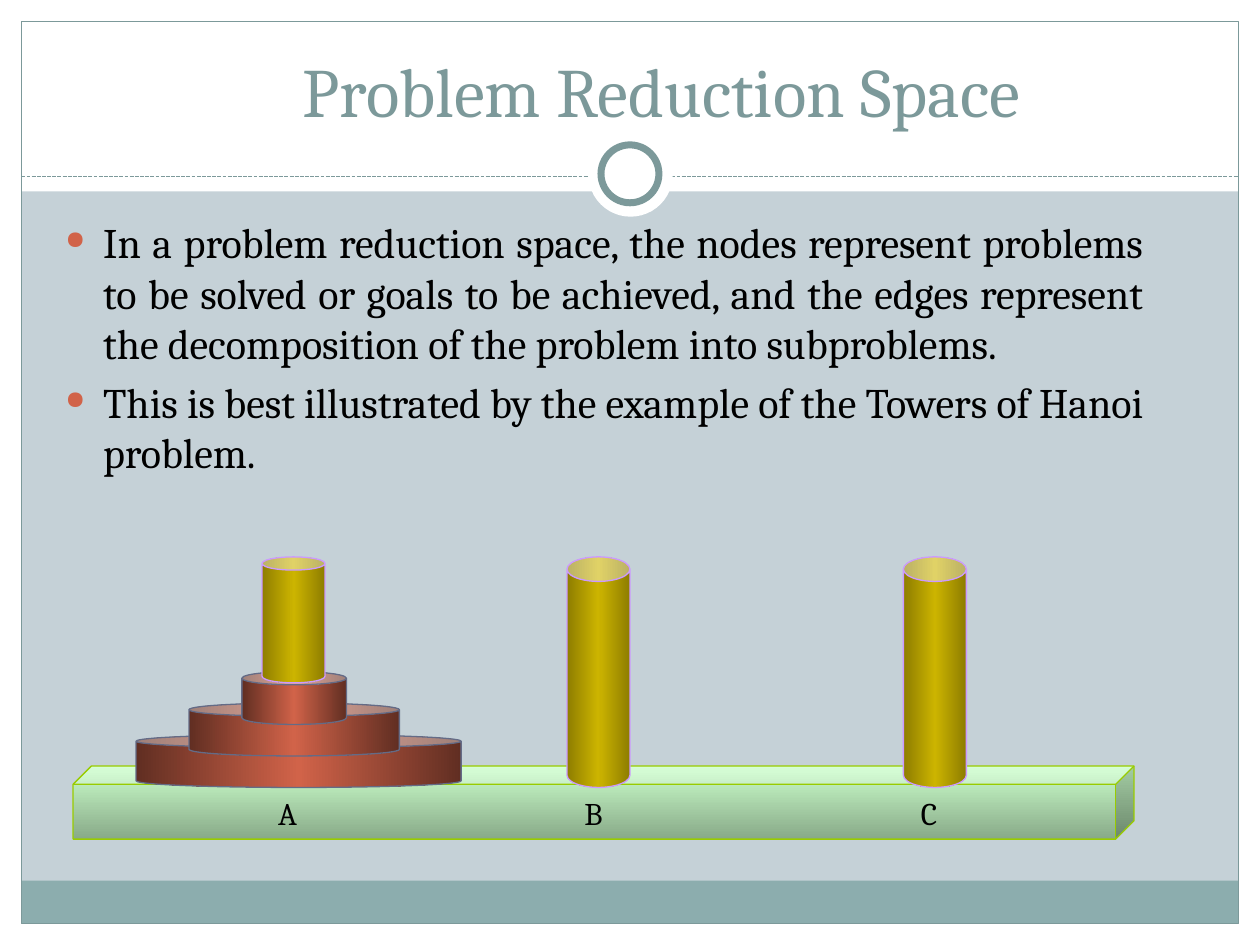
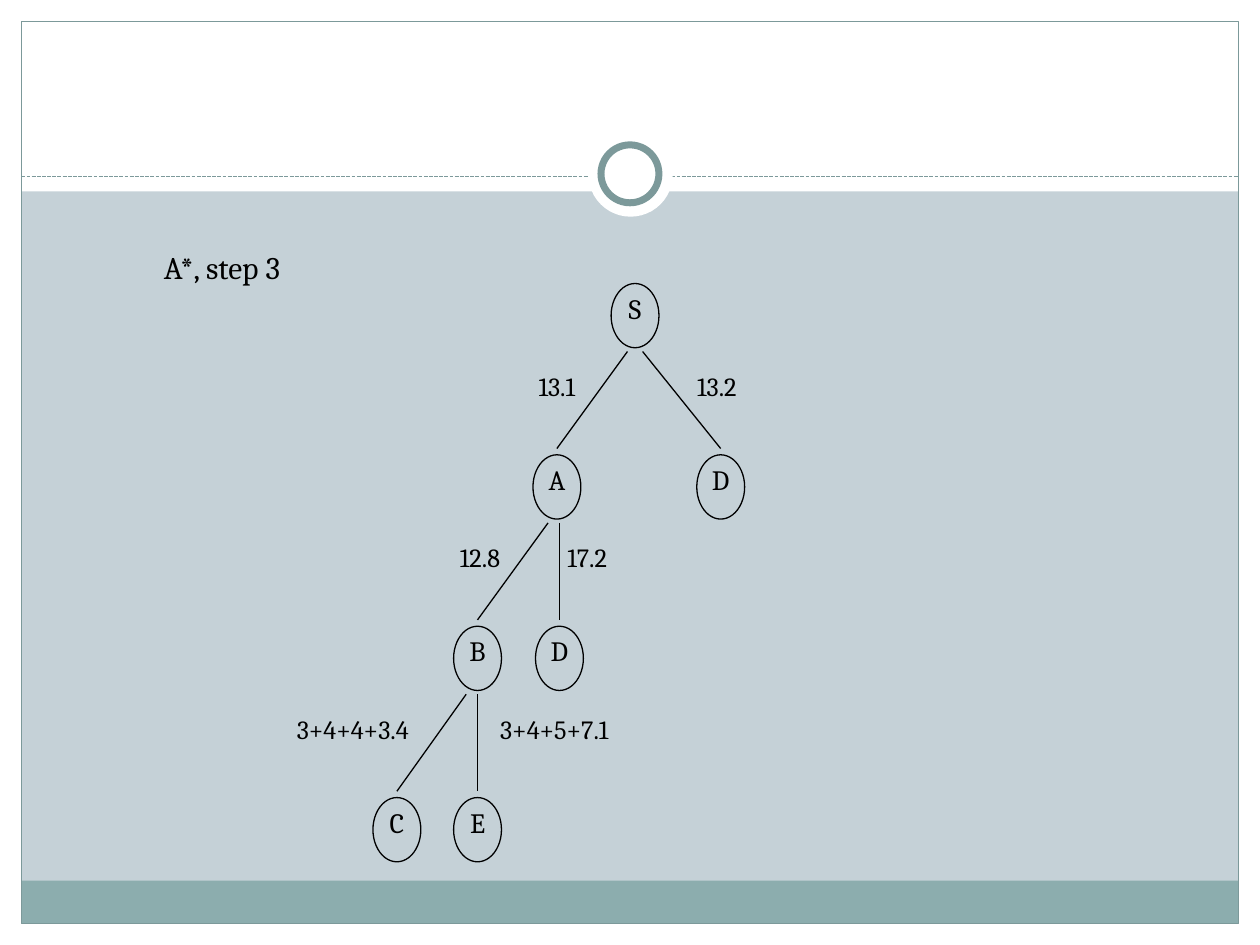
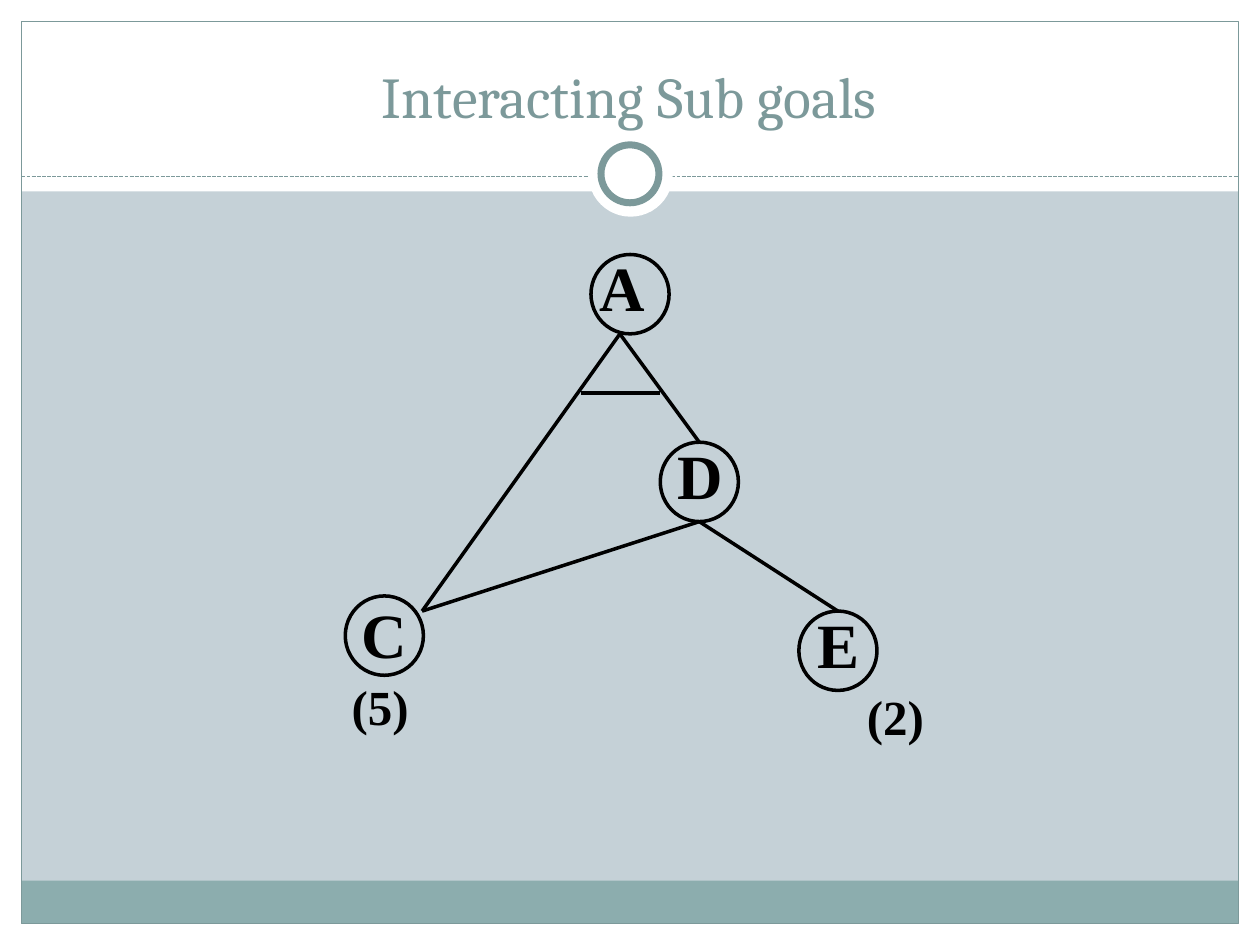
"""Build three slides on problem reduction, A* search and interacting sub goals."""
from copy import deepcopy

from lxml import etree
from pptx import Presentation
from pptx.dml.color import RGBColor
from pptx.enum import dml, shapes, text
from pptx.oxml.ns import qn
from pptx.util import Inches, Pt

BLACK = RGBColor(0x00, 0x00, 0x00)
WHITE = RGBColor(0xFF, 0xFF, 0xFF)
BACKGROUND = RGBColor(0xC5, 0xD1, 0xD7)
FOOTER = RGBColor(0x8C, 0xAD, 0xAE)
ACCENT = RGBColor(0x7C, 0x99, 0x9A)
BULLET = "D16349"
BOARD_LINE = RGBColor(0x99, 0xCC, 0x00)
BOARD_LIGHT = RGBColor(0xCC, 0xFF, 0xCC)
BOARD_DARK = RGBColor(0x88, 0xAA, 0x88)
PEG_LINE = RGBColor(0xCC, 0x99, 0xFF)
PEG_EDGE = RGBColor(0x8E, 0x7D, 0x00)
PEG_MIDDLE = RGBColor(0xCC, 0xB4, 0x00)
DISC_LINE = RGBColor(0x64, 0x6B, 0x86)
DISC_EDGE = RGBColor(0x61, 0x2E, 0x22)
DISC_MIDDLE = RGBColor(0xD1, 0x63, 0x49)
SERIF = "Cambria"
ROMAN = "Times New Roman"

RECTANGLE = shapes.MSO_SHAPE.RECTANGLE
OVAL = shapes.MSO_SHAPE.OVAL
CAN = shapes.MSO_SHAPE.CAN
CUBE = shapes.MSO_SHAPE.CUBE
CENTER = text.PP_ALIGN.CENTER

BANDS = [
    ((0, 7.33, 10, 0.17), WHITE),
    ((0, 0, 10, 1.52), WHITE),
    ((0, 0, 0.17, 7.5), WHITE),
    ((9.83, 0, 0.17, 7.5), WHITE),
    ((0.17, 6.99, 9.66, 0.34), FOOTER),
]

HANOI_TITLE = "Problem Reduction Space"
HANOI_POINTS = [
    "In a problem reduction space, the nodes represent problems to be solved or goals "
    "to be achieved, and the edges represent the decomposition of the problem into subproblems.",
    "This is best illustrated by the example of the Towers of Hanoi problem.",
]
DISCS = [(1.08, 2.58), (1.5, 1.67), (1.92, 0.83)]
PEGS = [(4.5, 1.83, 0.39), (7.17, 1.83, 0.39), (2.08, 1, 0.21)]
PEG_LABELS = [("A", 2.11), ("B", 4.54), ("C", 7.21)]

STEP = "A*, step 3"
TREE_NODES = {
    "S": ("S", 5.04, 0),
    "A": ("A", 4.42, 1),
    "D right": ("D", 5.72, 1),
    "B": ("B", 3.79, 2),
    "D left": ("D", 4.44, 2),
    "C": ("C", 3.15, 3),
    "E": ("E", 3.79, 3),
}
TREE_EDGES = [
    ("S", "A", -0.06, "13.1", 4.42),
    ("S", "D right", 0.06, "13.2", 5.69),
    ("A", "B", -0.07, "12.8", 3.81),
    ("A", "D left", 0.02, "17.2", 4.66),
    ("B", "C", -0.09, "3+4+4+3.4", 2.8),
    ("B", "E", 0, "3+4+5+7.1", 4.4),
]
TREE_TOP, LEVEL_STEP = 2.25, 1.36
NODE_WIDTH, NODE_HEIGHT = 0.38, 0.51

GOALS_TITLE = "Interacting Sub goals"
GOAL_NODES = [
    ("A", (4.69, 2.02), (4.69, 2.02)),
    ("D", (5.24, 3.51), (5.31, 3.51)),
    ("C", (2.74, 4.73), (2.8, 4.77)),
    ("E", (6.34, 4.85), (6.42, 4.85)),
]
GOAL_COSTS = [("(5)", (2.72, 5.4)), ("(2)", (6.81, 5.48))]
GOAL_LINES = [
    ((4.92, 2.65), (5.55, 3.51)),
    ((4.92, 2.65), (3.35, 4.85)),
    ((5.55, 4.14), (6.65, 4.85)),
    ((5.55, 4.14), (3.35, 4.85)),
    ((5.24, 3.12), (4.61, 3.12)),
]


def add_figure(slide, kind, box, fill=None, line=None, width=0.75, adjustment=None):
    shape = slide.shapes.add_shape(kind, *map(Inches, box))
    shape.shadow.inherit = False
    if fill is None:
        shape.fill.background()
    else:
        shape.fill.solid()
        shape.fill.fore_color.rgb = fill
    if line is None:
        shape.line.fill.background()
    else:
        shape.line.color.rgb = line
        shape.line.width = Pt(width)
    if adjustment is not None:
        shape.adjustments[0] = adjustment
    return shape


def set_gradient(shape, colors, angle):
    fill = shape.fill
    fill.gradient()
    fill.gradient_angle = angle
    stop_list = shape._element.spPr.find(".//" + qn("a:gsLst"))
    while len(stop_list) < len(colors):
        stop_list.append(deepcopy(stop_list[0]))
    for index, (stop, color) in enumerate(zip(fill.gradient_stops, colors)):
        stop.position = index / (len(colors) - 1)
        stop.color.rgb = color


def add_line(slide, start, end, color=BLACK, width=0.75, dash=None):
    points = map(Inches, (*start, *end))
    connector = slide.shapes.add_connector(shapes.MSO_CONNECTOR.STRAIGHT, *points)
    connector.line.color.rgb = color
    connector.line.width = Pt(width)
    if dash:
        connector.line.dash_style = dash
    etree.SubElement(connector._element.spPr, qn("a:effectLst"))


def add_bullet(paragraph):
    properties = paragraph._p.get_or_add_pPr()
    properties.set("marL", str(Inches(0.3)))
    properties.set("indent", str(-Inches(0.3)))
    color = etree.SubElement(properties, qn("a:buClr"))
    etree.SubElement(color, qn("a:srgbClr"), val=BULLET)
    etree.SubElement(properties, qn("a:buSzPct"), val="60000")
    etree.SubElement(properties, qn("a:buChar"), char="●")


def add_text(slide, box, *lines, size=18, font=SERIF, color=BLACK, bold=False, align=None,
             anchor=text.MSO_ANCHOR.TOP, insets=(0.1, 0.05), wrap=True, grow=False,
             spacing=None, bullets=False):
    frame = slide.shapes.add_textbox(*map(Inches, box)).text_frame
    frame.word_wrap = wrap
    frame.vertical_anchor = anchor
    if grow:
        frame.auto_size = text.MSO_AUTO_SIZE.SHAPE_TO_FIT_TEXT
    frame.margin_left = frame.margin_right = Inches(insets[0])
    frame.margin_top = frame.margin_bottom = Inches(insets[1])
    for index, line in enumerate(lines):
        paragraph = frame.add_paragraph() if index else frame.paragraphs[0]
        paragraph.text = line
        if bullets:
            add_bullet(paragraph)
        if index:
            paragraph.space_before = Pt(size * 0.2)
        if align is not None:
            paragraph.alignment = align
        if spacing:
            paragraph.line_spacing = spacing
        for run in paragraph.runs:
            run.font.size = Pt(size)
            run.font.name = font
            run.font.bold = bold
            run.font.color.rgb = color


def add_title(slide, box, title, size):
    add_text(slide, box, title, size=size, color=ACCENT, align=CENTER,
             anchor=text.MSO_ANCHOR.BOTTOM)


def add_framed_slide(presentation):
    slide = presentation.slides.add_slide(presentation.slide_layouts[6])
    slide.background.fill.solid()
    slide.background.fill.fore_color.rgb = BACKGROUND
    for box, color in BANDS:
        add_figure(slide, RECTANGLE, box, fill=color)
    add_figure(slide, RECTANGLE, (0.17, 0.17, 9.66, 7.16), line=ACCENT)
    add_line(slide, (0.17, 1.4), (9.83, 1.4), ACCENT, dash=dml.MSO_LINE.SQUARE_DOT)
    add_figure(slide, OVAL, (4.67, 1.05, 0.67, 0.67), fill=WHITE)
    add_figure(slide, OVAL, (4.77, 1.15, 0.46, 0.46), fill=WHITE, line=ACCENT, width=4)
    return slide


def build_hanoi(presentation):
    slide = add_framed_slide(presentation)
    add_title(slide, (0.75, 0.42, 9, 0.67), HANOI_TITLE, 39.6)
    add_text(slide, (0.42, 1.67, 8.75, 2.58), *HANOI_POINTS, size=24,
             align=text.PP_ALIGN.JUSTIFY, bullets=True)
    board = add_figure(slide, CUBE, (0.58, 6.08, 8.42, 0.58), line=BOARD_LINE, adjustment=0.25)
    set_gradient(board, [BOARD_LIGHT, BOARD_DARK], 270)
    for level, (left, width) in enumerate(DISCS):
        box = (left, 5.83 - 0.25 * level, width, 0.42)
        disc = add_figure(slide, CAN, box, line=DISC_LINE, adjustment=0.25)
        set_gradient(disc, [DISC_EDGE, DISC_MIDDLE, DISC_EDGE], 0)
    for left, height, adjustment in PEGS:
        box = (left, 4.42, 0.5, height)
        peg = add_figure(slide, CAN, box, line=PEG_LINE, adjustment=adjustment)
        set_gradient(peg, [PEG_EDGE, PEG_MIDDLE, PEG_EDGE], 0)
    for label, left in PEG_LABELS:
        add_text(slide, (left, 6.25, 0.29, 0.4), label, align=text.PP_ALIGN.RIGHT,
                 anchor=text.MSO_ANCHOR.MIDDLE)


def level_top(level):
    return TREE_TOP + LEVEL_STEP * level


def build_search_tree(presentation):
    slide = add_framed_slide(presentation)
    add_text(slide, (1.21, 1.92, 1.5, 0.39), STEP, insets=(0.09, 0.05))
    for label, center, level in TREE_NODES.values():
        box = (center - NODE_WIDTH / 2, level_top(level), NODE_WIDTH, NODE_HEIGHT)
        add_text(slide, box, label, size=16, align=CENTER, insets=(0.1, 0.06), wrap=False)
        add_figure(slide, OVAL, box, line=BLACK)
    for parent, child, shift, cost, cost_center in TREE_EDGES:
        _, parent_center, parent_level = TREE_NODES[parent]
        _, child_center, child_level = TREE_NODES[child]
        top = level_top(parent_level)
        add_line(slide, (parent_center + shift, top + NODE_HEIGHT + 0.03),
                 (child_center, level_top(child_level) - 0.05))
        width = 0.6 if len(cost) == 4 else 1.36
        add_text(slide, (cost_center - width / 2, top + 0.64, width, 0.48), cost,
                 size=15, align=CENTER, wrap=False)


def build_sub_goals(presentation):
    slide = add_framed_slide(presentation)
    add_title(slide, (0.33, 0.25, 9.33, 0.83), GOALS_TITLE, 33)
    style = dict(font=ROMAN, bold=True, insets=(0.07, 0.03), spacing=0.88)
    for start, end in GOAL_LINES:
        add_line(slide, start, end, width=2)
    for label, circle, place in GOAL_NODES:
        add_figure(slide, OVAL, (*circle, 0.62, 0.63), line=BLACK, width=2)
        add_text(slide, (*place, 0.5, 0.58), label, size=36, wrap=False, grow=True, **style)
    for cost, place in GOAL_COSTS:
        add_text(slide, (*place, 0.65, 0.47), cost, size=28, **style)


def main():
    presentation = Presentation()
    presentation.slide_width = Inches(10)
    presentation.slide_height = Inches(7.5)
    build_hanoi(presentation)
    build_search_tree(presentation)
    build_sub_goals(presentation)
    presentation.save("out.pptx")


if __name__ == "__main__":
    main()
